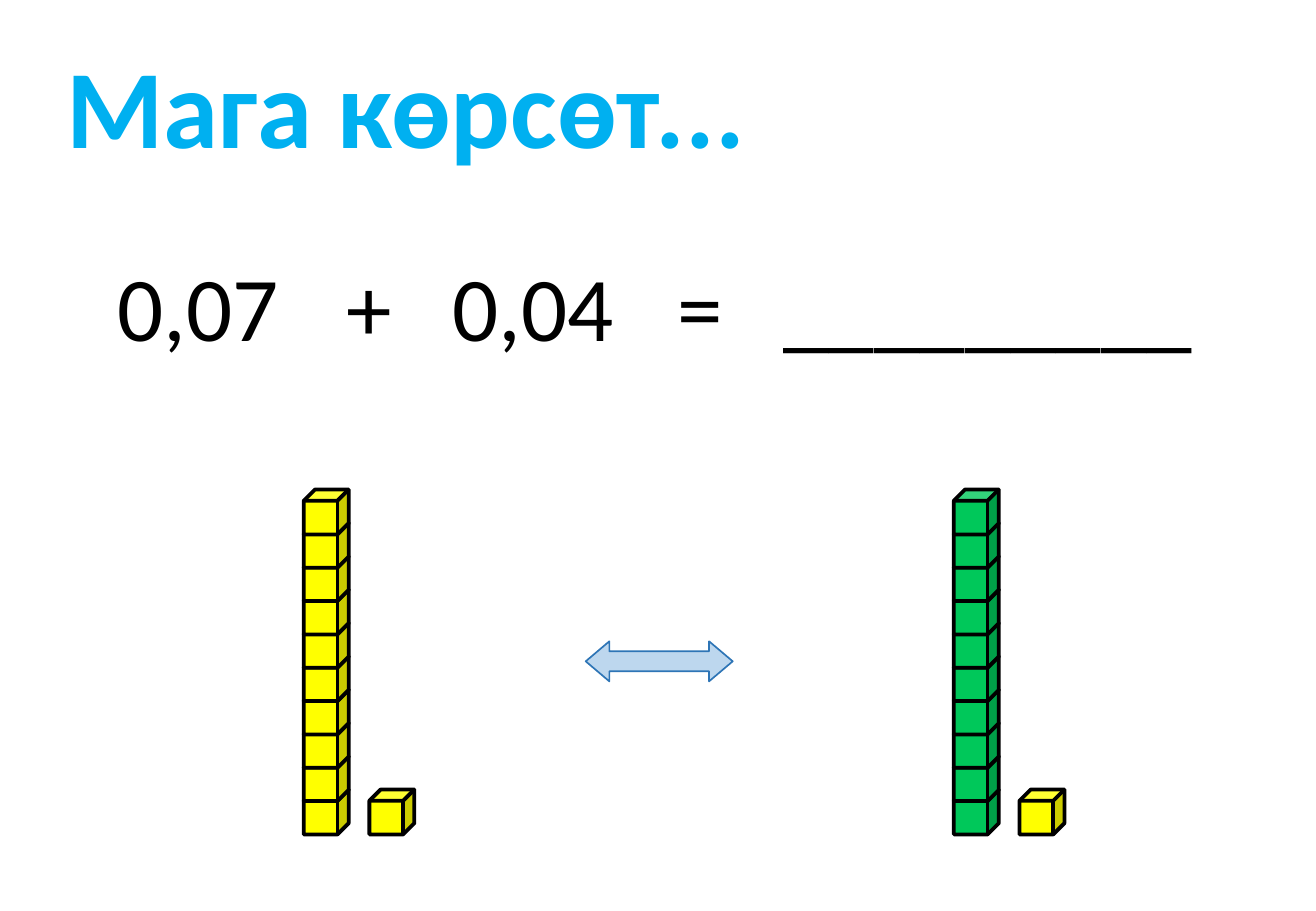
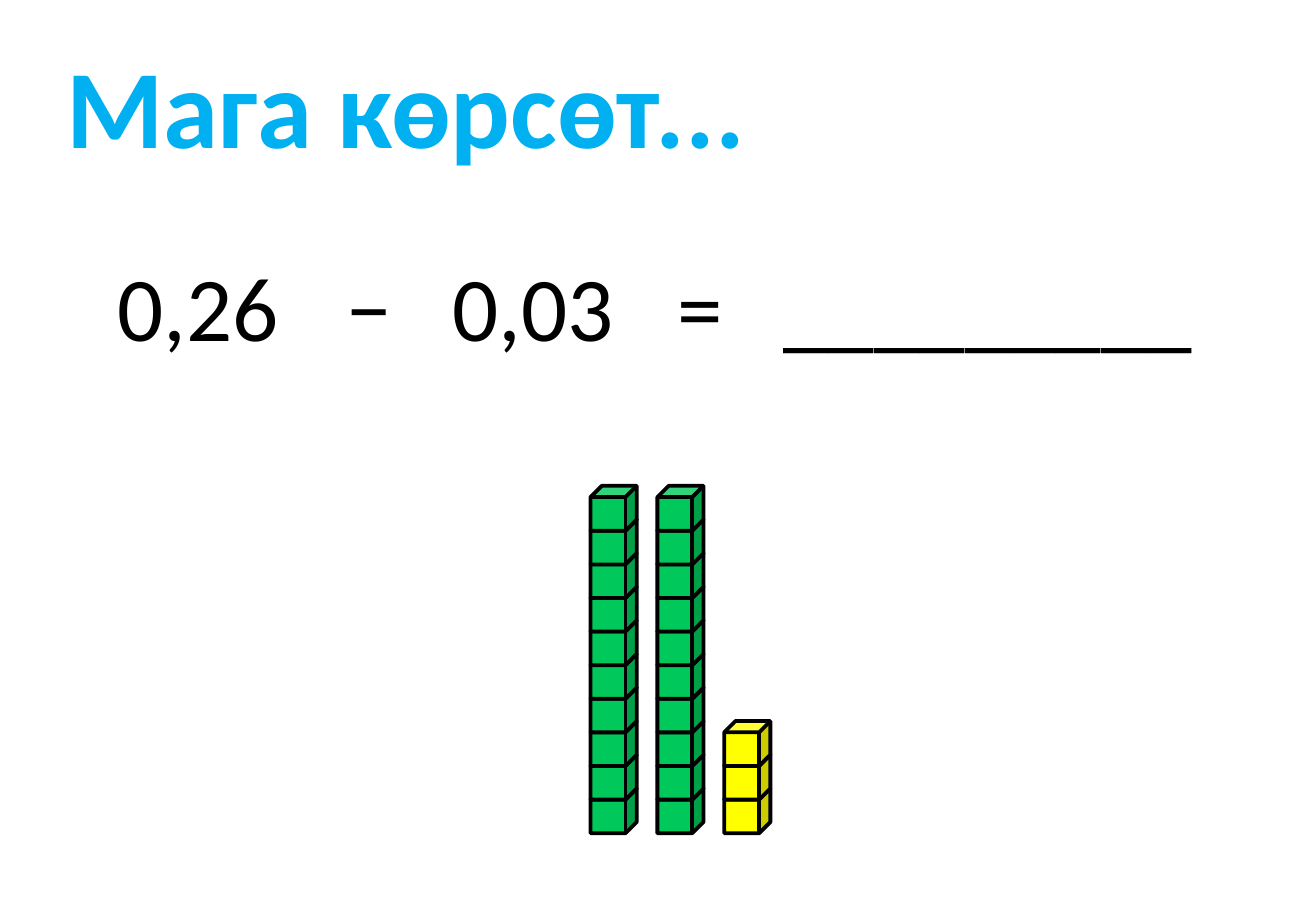
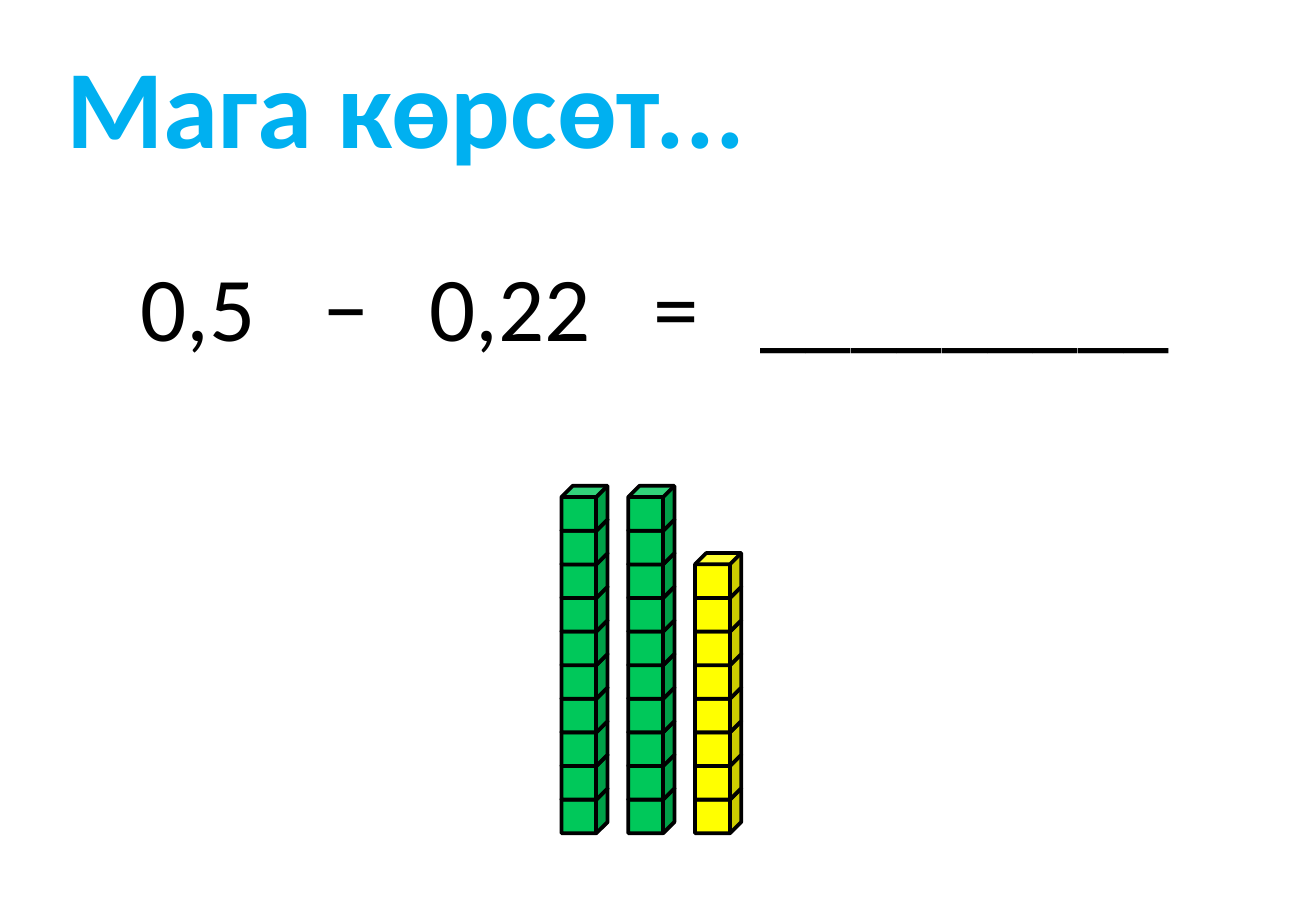
from typing import NamedTuple

from pptx import Presentation
from pptx.dml.color import RGBColor
from pptx.enum.shapes import MSO_SHAPE
from pptx.oxml.ns import qn
from pptx.util import Emu, Pt
from lxml.etree import SubElement

EMU_PER_PX = 9144  # 100 px to the inch
SLIDE_WIDTH, SLIDE_HEIGHT = 1083, 750
FONT = "Calibri"
COLORS = {
    "title": "00B0F0",
    "text": "000000",
    "outline": "000000",
    "green": "00C85A",
    "yellow": "FFFF00",
    "arrow": "BDD7EE",
    "arrow_line": "2E75B6",
}
TITLE = "Мага көрсөт..."
BLANK = "_" * 9
FULL_STACK = 10


class Box(NamedTuple):
    left: int
    top: int
    width: int
    height: int


TITLE_BOX = Box(45, 26, 733, 121)
LONG_EQUATION = Box(87, 201, 910, 101)
SHORT_EQUATION = Box(106, 201, 871, 101)


def px(length):
    return Emu(round(length * EMU_PER_PX))


def color(name):
    return RGBColor.from_string(COLORS[name])


def add_text(slide, box, text, *, size, fill="text", bold=False, tabs=()):
    """Tabs are (alignment, position) pairs measured from the text edge."""
    shape = slide.shapes.add_textbox(*map(px, box))
    shape.text_frame.word_wrap = True
    paragraph = shape.text_frame.paragraphs[0]
    if tabs:
        properties = paragraph._p.get_or_add_pPr()
        tab_list = SubElement(properties, qn("a:tabLst"))
        for alignment, position in tabs:
            SubElement(tab_list, qn("a:tab"), pos=str(px(position)), algn=alignment)
    run = paragraph.add_run()
    run.text = text
    run.font.name = FONT
    run.font.size = Pt(size)
    run.font.bold = bold
    run.font.color.rgb = color(fill)


def add_preset(shapes, preset, box, fill, line, line_width):
    shape = shapes.add_shape(preset, *map(px, box))
    shape.shadow.inherit = False
    shape.fill.solid()
    shape.fill.fore_color.rgb = color(fill)
    shape.line.color.rgb = color(line)
    shape.line.width = Pt(line_width)
    return shape


def add_equation(slide, box, first, operator, second):
    # The operator follows the first number, so its place depends on the digits
    digits = len(first.replace(",", ""))
    operator_center = 93 + 38 * digits
    tabs = [
        ("ctr", operator_center),
        ("ctr", operator_center + 135),
        ("ctr", operator_center + 272),
        ("l", operator_center + 341),
    ]
    text = "\t".join([first, operator, second, "=", BLANK])
    add_text(slide, box, text, size=54, tabs=tabs)


def add_stacks(slide, box, stacks, cube_width):
    """Spread columns of cubes over a box that is one full stack high."""
    cube_height = 37
    pitch = (box.height - cube_height) / (FULL_STACK - 1)
    step = (box.width - cube_width) / (len(stacks) - 1)
    base = box.top + box.height - cube_height
    for column, (count, fill) in enumerate(stacks):
        shapes = slide.shapes
        if count > 1:
            shapes = shapes.add_group_shape().shapes
        for level in range(count):
            cube = Box(box.left + column * step, base - level * pitch,
                       cube_width, cube_height)
            add_preset(shapes, MSO_SHAPE.CUBE, cube, fill, "outline", 2.25)


def add_exchange_arrow(slide, box):
    arrow = add_preset(slide.shapes, MSO_SHAPE.LEFT_RIGHT_ARROW, box,
                       "arrow", "arrow_line", 1)
    arrow.adjustments[0] = 0.5
    arrow.adjustments[1] = 0.59


def add_task_slide(presentation, equation_box, equation):
    slide = presentation.slides.add_slide(presentation.slide_layouts[6])
    add_text(slide, TITLE_BOX, TITLE, size=66, fill="title", bold=True)
    add_equation(slide, equation_box, *equation)
    return slide


def main():
    presentation = Presentation()
    presentation.slide_width = px(SLIDE_WIDTH)
    presentation.slide_height = px(SLIDE_HEIGHT)

    # Addition: ten hundredths are exchanged for one tenth
    slide = add_task_slide(presentation, LONG_EQUATION, ("0,07", "+", "0,04"))
    for left, fill in ((250, "yellow"), (785, "green")):
        add_stacks(slide, Box(left, 403, 91, 284),
                   [(FULL_STACK, fill), (1, "yellow")], cube_width=37)
    add_exchange_arrow(slide, Box(482, 528, 121, 33))

    # Subtraction: the cubes show what is left
    subtractions = [
        (LONG_EQUATION, ("0,26", "−", "0,03"), 486, 3),
        (SHORT_EQUATION, ("0,5", "−", "0,22"), 462, 8),
    ]
    for equation_box, equation, left, ones in subtractions:
        slide = add_task_slide(presentation, equation_box, equation)
        stacks = [(FULL_STACK, "green")] * 2 + [(ones, "yellow")]
        add_stacks(slide, Box(left, 400, 148, 286), stacks, cube_width=38)

    presentation.save("out.pptx")


if __name__ == "__main__":
    main()
